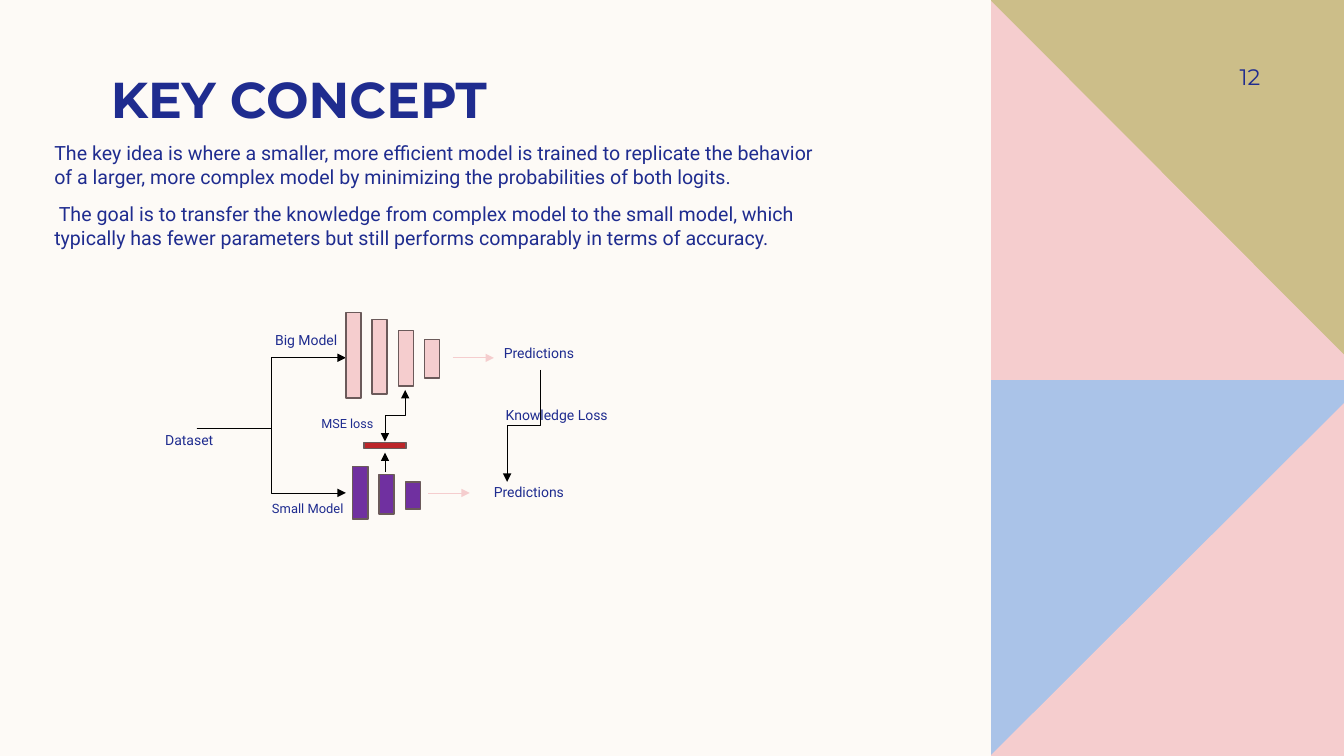
from lxml import etree
from pptx import Presentation
from pptx.dml.color import RGBColor
from pptx.enum.shapes import MSO_CONNECTOR, MSO_SHAPE
from pptx.enum.text import MSO_ANCHOR, MSO_AUTO_SIZE, PP_ALIGN
from pptx.oxml.ns import qn
from pptx.util import Pt

STRAIGHT, ELBOW = MSO_CONNECTOR.STRAIGHT, MSO_CONNECTOR.ELBOW
RECTANGLE = MSO_SHAPE.RECTANGLE
TOP, MIDDLE, BOTTOM = MSO_ANCHOR.TOP, MSO_ANCHOR.MIDDLE, MSO_ANCHOR.BOTTOM
LEFT, RIGHT = PP_ALIGN.LEFT, PP_ALIGN.RIGHT
NO_AUTOFIT = MSO_AUTO_SIZE.NONE

CREAM, NAVY, BLACK = "FDFAF6", "1F2C8F", "000000"
PINK, BLUE, GOLD = "F5CDCE", "AAC3E8", "CCBE89"
PURPLE, RED, OUTLINE = "7030A0", "BC2529", "6B5A5A"

BODY = [
    "The key idea is where a smaller, more efficient model is trained to replicate the behavior "
    "of a larger, more complex model by minimizing the probabilities of both logits.",
    " The goal is to transfer the knowledge from complex model to the small model, which "
    "typically has fewer parameters but still performs comparably in terms of accuracy.",
]


def color(value):
    return RGBColor.from_string(value)


def write_text(shape, texts, size, font="Roboto", bold=False, align=LEFT, anchor=TOP,
               space_before=0, line_spacing=1.0, margins=(7.2, 0, 7.2, 0)):
    frame = shape.text_frame
    frame.word_wrap = True
    frame.auto_size = NO_AUTOFIT
    frame.vertical_anchor = anchor
    frame.margin_left, frame.margin_top, frame.margin_right, frame.margin_bottom = map(Pt, margins)
    for index, text in enumerate(texts):
        paragraph = frame.add_paragraph() if index else frame.paragraphs[0]
        paragraph.alignment = align
        paragraph.space_before = Pt(space_before)
        paragraph.line_spacing = line_spacing
        run = paragraph.add_run()
        run.text = text
        run.font.name = font
        run.font.size = Pt(size)
        run.font.bold = bold
        run.font.color.rgb = color(NAVY)


def add_text(slide, left, top, width, height, texts, size, **style):
    shape = slide.shapes.add_textbox(Pt(left), Pt(top), Pt(width), Pt(height))
    write_text(shape, texts, size, **style)


def add_title(slide, left, top, width, height):
    title = slide.shapes.title
    title.left, title.top, title.width, title.height = map(Pt, (left, top, width, height))
    write_text(title, ["KEY CONCEPT"], 36, font="Montserrat", bold=True, anchor=BOTTOM)


def add_bar(slide, left, top, width, height, fill):
    bar = slide.shapes.add_shape(RECTANGLE, Pt(left), Pt(top), Pt(width), Pt(height))
    bar.shadow.inherit = False
    bar.fill.solid()
    bar.fill.fore_color.rgb = color(fill)
    bar.line.color.rgb = color(OUTLINE)
    bar.line.width = Pt(1)


def add_arrow(slide, kind, start, end, line_color=BLACK, ends=("tailEnd",)):
    points = [Pt(value) for value in (*start, *end)]
    connector = slide.shapes.add_connector(kind, *points)
    connector.line.color.rgb = color(line_color)
    connector.line.width = Pt(0.5)
    line = connector.line._get_or_add_ln()
    for name in ends:
        etree.SubElement(line, qn(f"a:{name}"), type="triangle")
    etree.SubElement(connector._element.spPr, qn("a:effectLst"))
    return connector


def add_falling_arrow(slide, start, end, **style):
    center_x, center_y = (start[0] + end[0]) / 2, (start[1] + end[1]) / 2
    half_length, half_breadth = (end[1] - start[1]) / 2, (start[0] - end[0]) / 2
    connector = add_arrow(slide, ELBOW, (center_x - half_length, center_y - half_breadth),
                          (center_x + half_length, center_y + half_breadth), **style)
    connector._element.spPr.find(qn("a:xfrm")).set("rot", "5400000")


def add_side_panel(slide, left, top, width, height):
    half = height / 2
    outlines = [
        (BLUE, [(0, half), (width, half), (width, height), (0, height)]),
        (PINK, [(width, 288), (width, height), (0, height), (0, height - 0.7)]),
        (GOLD, [(0, 0), (width, 0), (width, half + 0.7), (0, half + 0.7)]),
        (PINK, [(0, 0.7), (width, 253.4), (width, half + 1.4), (0, half + 1.4)]),
    ]
    for fill, outline in outlines:
        points = [(Pt(left + x), Pt(top + y)) for x, y in outline]
        builder = slide.shapes.build_freeform(*points[0])
        builder.add_line_segments(points[1:], close=True)
        shape = builder.convert_to_shape()
        shape.shadow.inherit = False
        shape.fill.solid()
        shape.fill.fore_color.rgb = color(fill)
        shape.line.fill.background()
    add_text(slide, left + 114.4, top + 36, 77.8, 37.4, ["12"], 16, font="Montserrat",
             align=RIGHT, anchor=MIDDLE, margins=(7.2, 3.6, 0, 3.6))


def add_diagram(slide, left, top):
    def at(x, y):
        return left + x, top + y

    big_y, small_y, loss_x = 32.6, 129.1, 165
    for branch_y in (small_y, big_y):
        add_arrow(slide, ELBOW, at(30.4, 83), at(137, branch_y))

    models = [
        (137, PINK, [(0.2, 61.2), (5.2, 53.3), (13.2, 39.6), (19.6, 27.4)]),
        (142, PURPLE, [(110.4, 37.4), (116.1, 28.1), (121.2, 19.4)]),
    ]
    for first_x, fill, layers in models:
        for index, (layer_top, height) in enumerate(layers):
            add_bar(slide, *at(first_x + 18.72 * index, layer_top), 10.8, height, fill)

    for x, y in ((213.3, big_y), (196, small_y)):
        add_arrow(slide, STRAIGHT, at(x, y), at(x + 29.5, y), PINK)

    add_falling_arrow(slide, at(275.9, 41.2), at(252.2, 121.2))
    add_arrow(slide, STRAIGHT, at(loss_x, 114), at(loss_x, 100.3))
    add_falling_arrow(slide, at(179.4, 55.6), at(loss_x, 92.4), ends=("headEnd", "tailEnd"))
    add_bar(slide, *at(149.9, 93.1), 30.2, 4.3, RED)

    labels = [
        ("Predictions", 242.8, 24.7, 65.5, 10, 0.9),
        ("Predictions", 235.6, 124, 65.5, 10, 0.9),
        ("Big Model", 79.4, 15.3, 65.5, 10, 0.9),
        ("Small Model", 77.2, 134.8, 65.5, 9.2, 1.0),
        ("Knowledge Loss", 244.2, 67.2, 100, 10, 1.0),
        ("Dataset", 0.9, 86.6, 65.5, 10, 0.9),
        ("MSE loss", 112.5, 74.4, 53.3, 9, 1.0),
    ]
    for text, x, y, width, size, line_spacing in labels:
        add_text(slide, *at(x, y), width, 11.5, [text], size,
                 space_before=10, line_spacing=line_spacing)


def main():
    presentation = Presentation()
    presentation.slide_width, presentation.slide_height = Pt(960), Pt(540)
    slide = presentation.slides.add_slide(presentation.slide_layouts[5])
    slide.background.fill.solid()
    slide.background.fill.fore_color.rgb = color(CREAM)
    add_side_panel(slide, 708, 0, 252, 540)
    add_title(slide, 72, 39.6, 304.6, 52.6)
    add_text(slide, 31.7, 100.8, 563, 78.5, BODY, 14, space_before=10)
    add_diagram(slide, 110, 223)
    presentation.save("out.pptx")


if __name__ == "__main__":
    main()
